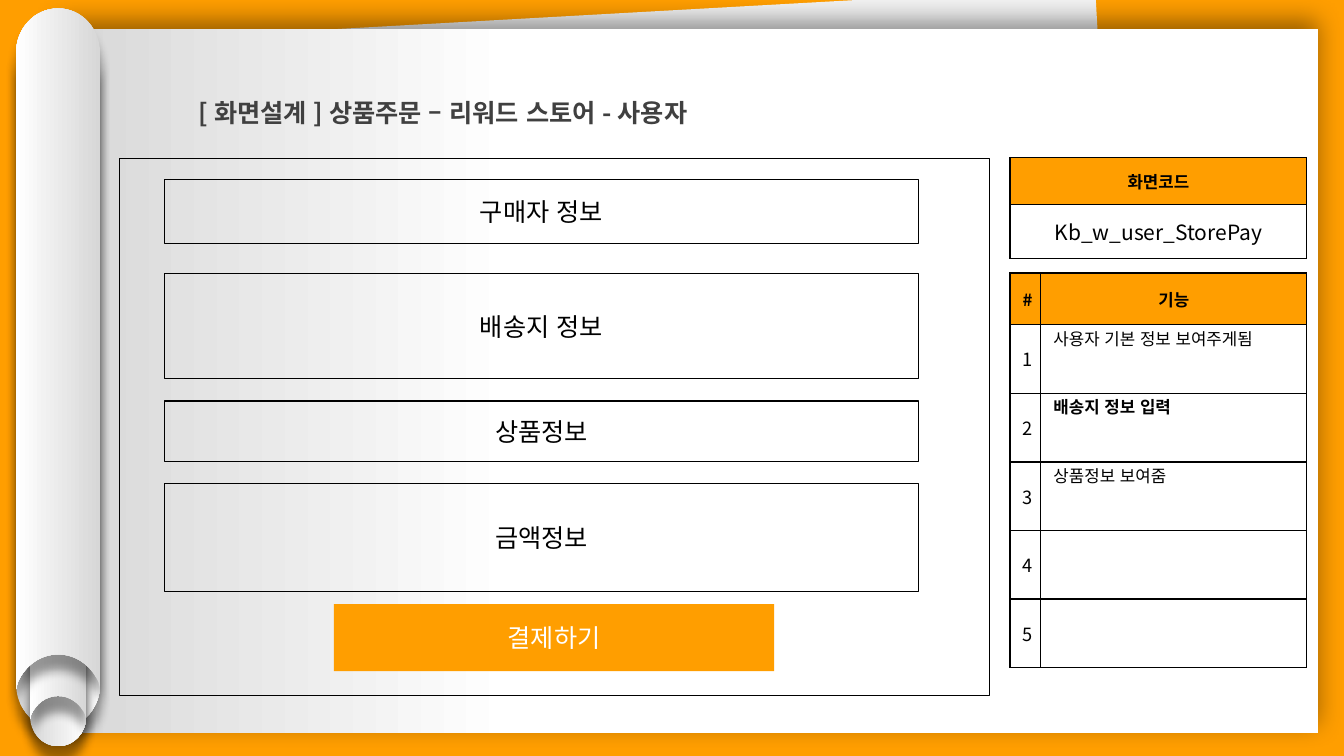
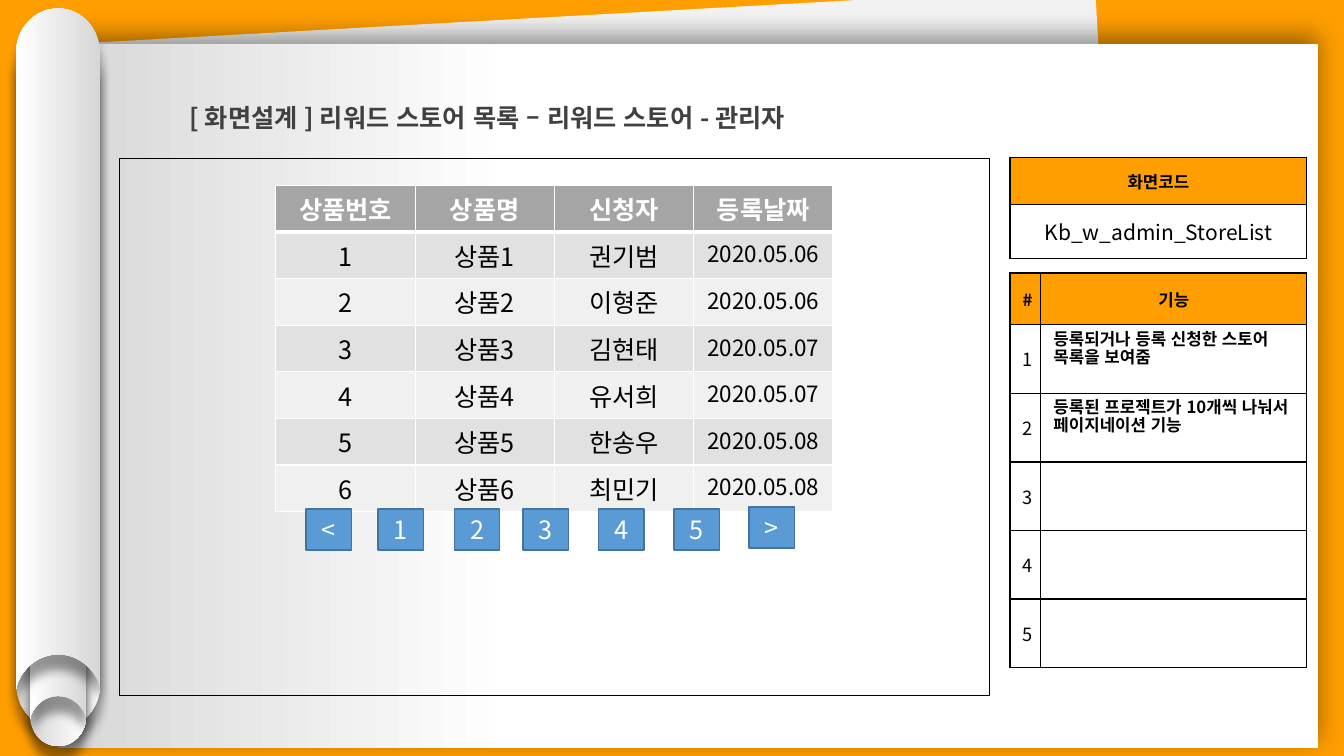
from lxml import etree
from pptx import Presentation
from pptx import util as u
from pptx.dml.color import RGBColor
from pptx.enum import lang, shapes, text
from pptx.oxml import ns

PX = 6350
FONT = "Noto Sans CJK KR"
COLORS = {
    "orange": "FF9E00", "sheet": "F2F2F2", "white": "FFFFFF", "shade": "D7D7D7",
    "black": "000000", "title": "404040", "header": "A5A5A5",
    "odd": "E1E1E1", "even": "F0F0F0", "page": "5B9BD5", "page_edge": "43739E",
}
CENTER = {"alignment": text.PP_ALIGN.CENTER}
NOTE = {"line_spacing": u.Pt(13)}
CELL_INSETS = {"margin_left": 18, "margin_right": 18, "margin_top": 10, "margin_bottom": 10}
TITLE_FRAME = {
    "margin_left": u.Emu(10 * PX), "margin_right": u.Emu(10 * PX),
    "margin_top": u.Emu(5 * PX), "margin_bottom": u.Emu(5 * PX),
    "word_wrap": True, "auto_size": text.MSO_AUTO_SIZE.NONE,
    "vertical_anchor": text.MSO_ANCHOR.TOP,
}
TITLE_PARAGRAPH = {"alignment": text.PP_ALIGN.LEFT, "line_spacing": 1.5}


def px(*lengths):
    return [u.Emu(round(length * PX)) for length in lengths]


def rgb(name):
    return RGBColor.from_string(COLORS[name])


def assign(target, values):
    for key, value in values.items():
        setattr(target, key, value)


def write(frame, words, size, color, bold=False, layout=CENTER):
    paragraph = frame.paragraphs[0]
    assign(paragraph, layout)
    run = paragraph.add_run()
    run.text = words
    assign(run.font, {"name": FONT, "size": u.Pt(size), "bold": bold,
                      "language_id": lang.MSO_LANGUAGE_ID.KOREAN})
    run.font.color.rgb = rgb(color)
    etree.SubElement(run.font._element, ns.qn("a:ea"), typeface=FONT)


def paint(fill, color):
    if color:
        fill.solid()
        fill.fore_color.rgb = rgb(color)
    else:
        fill.background()


def outline(shape, color, width):
    if color:
        shape.line.color.rgb = rgb(color)
        shape.line.width = u.Pt(width)
    else:
        shape.line.fill.background()


def shade(shape, stops):
    shape.fill.gradient()
    shape.fill.gradient_angle = 180
    for stop, (position, color) in zip(shape.fill.gradient_stops, stops):
        stop.position = position
        stop.color.rgb = rgb(color)


def cast_shadow(shape, blur, distance, angle):
    shape.shadow.inherit = False
    effects = shape._element.spPr.find(ns.qn("a:effectLst"))
    shadow = etree.SubElement(
        effects, ns.qn("a:outerShdw"), blurRad=str(u.Pt(blur)), dist=str(u.Pt(distance)),
        dir=str(angle * 60000), algn="ctr", rotWithShape="0")
    tint = etree.SubElement(shadow, ns.qn("a:srgbClr"), val=COLORS["black"])
    etree.SubElement(tint, ns.qn("a:alpha"), val="40000")


def add_box(slide, box, fill=None, line=None, width=1, words=None, color="black"):
    shape = slide.shapes.add_shape(shapes.MSO_SHAPE.RECTANGLE, *px(*box))
    shape.shadow.inherit = False
    paint(shape.fill, fill)
    outline(shape, line, width)
    if words:
        shape.text_frame.vertical_anchor = text.MSO_ANCHOR.MIDDLE
        write(shape.text_frame, words, 18, color)
    return shape


def bend(shape, curve_starts):
    lines = list(shape._element.iter(ns.qn("a:lnTo")))
    for start in curve_starts:
        first, *others = lines[start:start + 3]
        first.tag = ns.qn("a:cubicBezTo")
        for line in others:
            first.append(line[0])
            line.getparent().remove(line)


def add_roll(slide, left, top, width, height, rotation):
    crown = [(0.5, 0), (0.78, 0), (1, 0.24), (1, 0.53)]
    hollow = [(1, 0), (0.98, 0.08), (0.89, 0.28), (0.71, 0.41), (0.5, 0.41),
              (0.29, 0.41), (0.11, 0.28), (0.02, 0.08), (0, 0)]
    closing = [(0, 0.53), (0, 0.24), (0.22, 0), (0.5, 0)]
    base = height / width
    fractions = crown + [(x, base - y) for x, y in hollow] + closing
    points = [px(left + width * x, top + width * y) for x, y in fractions]
    builder = slide.shapes.build_freeform(*points[0], scale=1.0)
    builder.add_line_segments(points[1:], close=True)
    roll = builder.convert_to_shape()
    bend(roll, (0, 5, 8, 13))
    roll.rotation = rotation
    shade(roll, [(0, "shade"), (1, "white")])
    outline(roll, None, 0)
    cast_shadow(roll, 7, 11, 90)


def add_backdrop(slide, paper_top):
    add_box(slide, (131, 21, 1462, 979), "sheet").rotation = 356.8
    paper = add_box(slide, (83, paper_top, 1800, 1006))
    shade(paper, [(0.64, "white"), (1, "shade")])
    cast_shadow(paper, 18, 6, 270)
    for roll in [(23, 69, 120, 972, 180), (43, 415, 80, 651, 180),
                 (43, 376, 80, 651, 0), (23, 12, 120, 972, 0)]:
        add_roll(slide, *roll)


def place_title(slide, words, left, top):
    title = slide.shapes.title
    title.element.getparent().append(title.element)
    assign(title, dict(zip(("left", "top", "width", "height"), px(left, top, 1038, 71))))
    assign(title.text_frame, TITLE_FRAME)
    write(title.text_frame, words, 18, "title", True, TITLE_PARAGRAPH)


def add_grid(slide, left, top, columns, rows):
    grid = slide.shapes.add_table(
        len(rows), len(columns), *px(left, top, sum(columns), sum(rows))).table
    assign(grid, {"first_row": False, "horz_banding": False})
    for column, width in zip(grid.columns, columns):
        column.width = u.Emu(width * PX)
    for row, height in zip(grid.rows, rows):
        row.height = u.Emu(height * PX)
    return grid


def style_cell(cell, fill, edge, bottom=1):
    properties = cell._tc.get_or_add_tcPr()
    for side, width in {"lnL": 1, "lnR": 1, "lnT": 1, "lnB": bottom}.items():
        border = etree.SubElement(properties, ns.qn("a:" + side), w=str(u.Pt(width)))
        solid = etree.SubElement(border, ns.qn("a:solidFill"))
        etree.SubElement(solid, ns.qn("a:srgbClr"), val=COLORS[edge])
    paint(cell.fill, fill)


def fill_side_cell(cell, words, size, header=False, bold=False, note=False):
    style_cell(cell, "orange" if header else None, "black")
    assign(cell, {side: u.Emu(inset * PX) for side, inset in CELL_INSETS.items()})
    cell.vertical_anchor = text.MSO_ANCHOR.TOP if note else text.MSO_ANCHOR.MIDDLE
    if words:
        write(cell.text_frame, words, size, "black", header or bold, NOTE if note else CENTER)


def add_screen_code(slide, code):
    grid = add_grid(slide, 1443, 225, [424], [67, 77])
    fill_side_cell(grid.cell(0, 0), "화면코드", 12, header=True)
    fill_side_cell(grid.cell(1, 0), code, 15)


def add_functions(slide, notes):
    grid = add_grid(slide, 1443, 390, [44, 380], [74] + [98] * 5)
    for column, heading in enumerate(["#", "기능"]):
        fill_side_cell(grid.cell(0, column), heading, 12, header=True)
    for number in range(1, 6):
        words, bold = notes[number - 1] if number <= len(notes) else ("", False)
        fill_side_cell(grid.cell(number, 0), str(number), 13)
        fill_side_cell(grid.cell(number, 1), words, 12, bold=bold, note=True)


def add_product_list(slide, applicants):
    headings = ["상품번호", "상품명", "신청자", "등록날짜"]
    products = [(str(n), f"상품{n}", name, date)
                for n, (name, date) in enumerate(applicants, 1)]
    grid = add_grid(slide, 394, 265, [199] * 4, [66] * (len(products) + 1))
    for column, heading in enumerate(headings):
        cell = grid.cell(0, column)
        style_cell(cell, "header", "white", 3)
        write(cell.text_frame, heading, 18, "white", True)
    for row, product in enumerate(products, 1):
        for column, words in enumerate(product):
            cell = grid.cell(row, column)
            style_cell(cell, "odd" if row % 2 else "even", "white")
            write(cell.text_frame, words, 16 if column == 3 else 18, "black")


def add_screen(prs, paper_top, title, title_left, title_top, code, notes):
    slide = prs.slides.add_slide(prs.slide_layouts[5])
    add_backdrop(slide, paper_top)
    add_screen_code(slide, code)
    add_box(slide, (171, 226, 1243, 767), line="black", width=0.75)
    add_functions(slide, notes)
    place_title(slide, title, title_left, title_top)
    return slide


def build_order(prs):
    slide = add_screen(
        prs, 41, "[ 화면설계 ] 상품주문 – 리워드 스토어 - 사용자", 274, 113, "Kb_w_user_StorePay",
        [("사용자 기본 정보 보여주게됨", False), ("배송지 정보 입력", True),
         ("상품정보 보여줌", False)])
    for words, top, height in [("구매자 정보", 256, 92), ("배송지 정보", 391, 150),
                               ("상품정보", 573, 86), ("금액정보", 691, 154)]:
        add_box(slide, (235, top, 1077, height), line="black", words=words)
    add_box(slide, (477, 863, 629, 96), "orange", words="결제하기", color="white")


def build_store_list(prs):
    slide = add_screen(
        prs, 63, "[ 화면설계 ] 리워드 스토어 목록 – 리워드 스토어 - 관리자", 261, 119,
        "Kb_w_admin_StoreList",
        [("등록되거나 등록 신청한 스토어 목록을 보여줌", True),
         ("등록된 프로젝트가 10개씩 나눠서 페이지네이션 기능", True)])
    add_product_list(slide, [
        ("권기범", "2020.05.06"), ("이형준", "2020.05.06"), ("김현태", "2020.05.07"),
        ("유서희", "2020.05.07"), ("한송우", "2020.05.08"), ("최민기", "2020.05.08")])
    for label, left in zip("<12345>", [437, 540, 649, 747, 855, 963, 1070]):
        top = 724 if label == ">" else 727
        add_box(slide, (left, top, 65, 59), "page", "page_edge", words=label, color="white")


def main():
    prs = Presentation()
    prs.slide_width, prs.slide_height = px(1920, 1080)
    paint(prs.slide_master.background.fill, "orange")
    build_order(prs)
    build_store_list(prs)
    prs.save("out.pptx")


if __name__ == "__main__":
    main()
